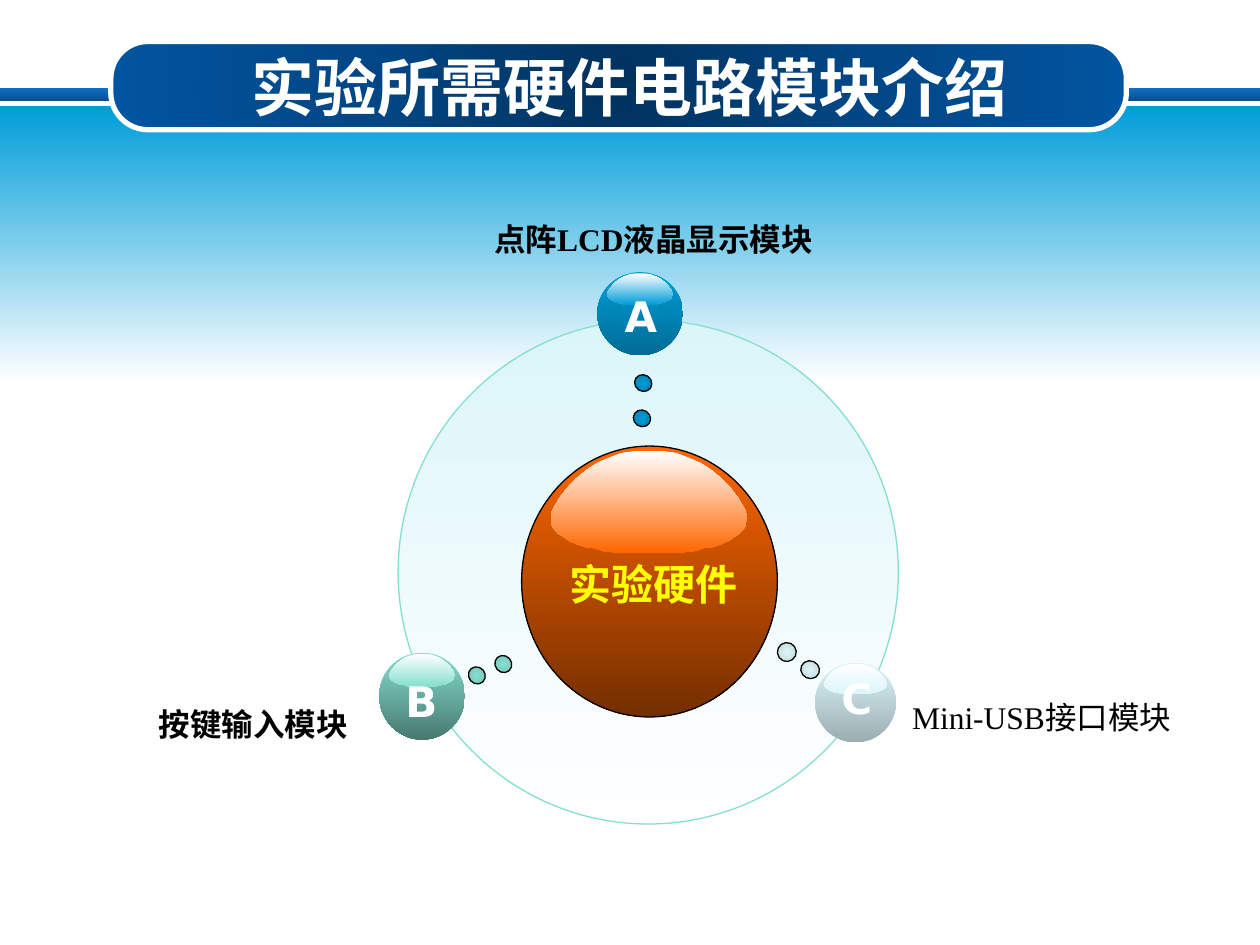
import pptx
import pptx.util
from lxml import etree
from pptx.dml.color import RGBColor
from pptx.enum.shapes import MSO_SHAPE
from pptx.enum.text import MSO_ANCHOR, MSO_AUTO_SIZE, PP_ALIGN
from pptx.oxml.ns import qn
from pptx.util import Inches

WHITE = RGBColor(0xFF, 0xFF, 0xFF)
BLACK = RGBColor(0x00, 0x00, 0x00)
YELLOW = RGBColor(0xFF, 0xFF, 0x00)
BAND_BLUE = RGBColor(0x0F, 0x6F, 0xC6)
BAND_NAVY = RGBColor(0x0B, 0x4F, 0x8E)
TITLE_DARK = RGBColor(0x01, 0x32, 0x5E)
TITLE_MID = RGBColor(0x01, 0x47, 0x86)
TITLE_LIGHT = RGBColor(0x01, 0x54, 0x9F)
ORANGE = RGBColor(0xFF, 0x66, 0x00)
BROWN = RGBColor(0x74, 0x2E, 0x00)
SKY = RGBColor(0x00, 0x9D, 0xD9)
SKY_DARK = RGBColor(0x00, 0x6C, 0x95)
SKY_DOT = RGBColor(0x00, 0x6F, 0x9A)
MINT = RGBColor(0x85, 0xDF, 0xD0)
MINT_DARK = RGBColor(0x48, 0x79, 0x70)
MINT_DOT = RGBColor(0x70, 0xBB, 0xAE)
ICE = RGBColor(0xDB, 0xF5, 0xF9)
ICE_DARK = RGBColor(0x9B, 0xAE, 0xB1)
ICE_DOT = RGBColor(0xB8, 0xCD, 0xD1)

# Right half of a highlight, top to bottom: share of half width, share of height
HIGHLIGHT_HALF = [
    (0.15, 0), (0.28, 0.02), (0.41, 0.07), (0.53, 0.12), (0.64, 0.19),
    (0.74, 0.27), (0.83, 0.36), (0.91, 0.46), (0.97, 0.56), (1, 0.62),
    (1, 0.67), (0.99, 0.72), (0.96, 0.77), (0.92, 0.81), (0.87, 0.84),
    (0.81, 0.88), (0.74, 0.91), (0.65, 0.94), (0.56, 0.95), (0.46, 0.98),
    (0.36, 0.99), (0.21, 1),
]


class SlideBuilder:
    heading_font = "Calibri"
    letter_font = "DejaVu Sans"
    label_font = "Times New Roman"

    def __init__(self, slide):
        self.slide = slide

    def paint(self, shape, colors, radial=None, line=None, line_width=0.75):
        """Fill downwards, or outwards from the centre when radial is given."""
        shape.shadow.inherit = False
        shape.fill.gradient()
        stops = shape.fill.gradient_stops
        stops[0].color.rgb, stops[1].color.rgb = colors[0], colors[-1]
        gradient = shape.fill._fill._gradFill
        if len(colors) == 3:
            middle = etree.Element(qn("a:gs"), pos="50000")
            etree.SubElement(middle, qn("a:srgbClr"), val=str(colors[1]))
            gradient.find(qn("a:gsLst")).insert(1, middle)
        if radial:
            center = etree.Element(qn("a:path"))
            center.set("path", radial)
            etree.SubElement(center, qn("a:fillToRect"),
                             dict.fromkeys("ltrb", "50000"))
            gradient.replace(gradient.find(qn("a:lin")), center)
        else:
            shape.fill.gradient_angle = 270
        if line is None:
            shape.line.fill.background()
        else:
            shape.line.color.rgb = line
            shape.line.width = pptx.util.Pt(line_width)

    def shape(self, kind, box, colors, **style):
        shape = self.slide.shapes.add_shape(kind, *map(Inches, box))
        self.paint(shape, colors, **style)
        return shape

    def highlight(self, box, color):
        left, top, width, height = box
        half, middle = width / 2, left + width / 2
        outline = HIGHLIGHT_HALF + [(-u, v) for u, v in reversed(HIGHLIGHT_HALF)]
        points = [(Inches(middle + u * half), Inches(top + v * height))
                  for u, v in outline]
        builder = self.slide.shapes.build_freeform(*points[0])
        builder.add_line_segments(points[1:], close=True)
        self.paint(builder.convert_to_shape(), [WHITE, color])

    def ball(self, box, colors, highlight_box, line=None):
        self.shape(MSO_SHAPE.OVAL, box, colors, line=line)
        self.highlight(highlight_box, colors[0])

    def dot(self, box, colors, rotation):
        dot = self.shape(MSO_SHAPE.OVAL, box, colors, radial="circle", line=BLACK)
        dot.rotation = rotation

    def text(self, box, words, size, font, color, bold=True,
             align=PP_ALIGN.LEFT, wrap=True, anchor=MSO_ANCHOR.TOP, grow=True):
        frame = self.slide.shapes.add_textbox(*map(Inches, box)).text_frame
        frame.word_wrap = wrap
        frame.vertical_anchor = anchor
        if grow:
            frame.auto_size = MSO_AUTO_SIZE.SHAPE_TO_FIT_TEXT
        paragraph = frame.paragraphs[0]
        paragraph.text = words
        paragraph.alignment = align
        paragraph.font.size = pptx.util.Pt(size)
        paragraph.font.name = font
        paragraph.font.bold = bold
        paragraph.font.color.rgb = color


def main():
    deck = pptx.Presentation()
    deck.slide_width, deck.slide_height = Inches(10), Inches(7.5)
    page = SlideBuilder(deck.slides.add_slide(deck.slide_layouts[6]))

    # Header bands and title
    page.shape(MSO_SHAPE.RECTANGLE, (0, 0.7, 10, 0.1), [BAND_BLUE, BAND_NAVY])
    page.shape(MSO_SHAPE.RECTANGLE, (0, 0.84, 10, 2.2), [SKY, WHITE])
    title_plate = page.shape(
        MSO_SHAPE.ROUNDED_RECTANGLE, (0.88, 0.33, 8.06, 0.7),
        [TITLE_DARK, TITLE_MID, TITLE_LIGHT],
        radial="circle", line=WHITE, line_width=3)
    title_plate.adjustments[0] = 0.42
    page.text((0.5, 0.3, 9, 0.77), "实验所需硬件电路模块介绍", 36,
              page.heading_font, WHITE, align=PP_ALIGN.CENTER,
              anchor=MSO_ANCHOR.MIDDLE, grow=False)

    # Orbit and central ball
    page.shape(MSO_SHAPE.OVAL, (3.16, 2.54, 3.97, 4), [ICE, WHITE], line=MINT)
    page.ball((4.14, 3.54, 2.03, 2.15), [ORANGE, BROWN],
              (4.37, 3.58, 1.56, 0.81), line=BLACK)
    page.text((4.42, 4.38, 1.56, 0.5), "实验硬件", 24, page.heading_font,
              YELLOW, wrap=False)

    # Module balls: letter, ball, highlight, letter box, colours, dots, rotation
    modules = [
        ("A", (4.74, 2.16, 0.68, 0.66), (4.82, 2.17, 0.52, 0.25),
         (4.86, 2.26, 0.46, 0.5), (SKY, SKY_DARK, SKY_DOT),
         [(5.04, 2.97, 0.13, 0.14), (5.03, 3.25, 0.13, 0.14)], 303.8),
        ("B", (3.01, 5.18, 0.68, 0.69), (3.09, 5.19, 0.52, 0.26),
         (3.12, 5.31, 0.46, 0.51), (MINT, MINT_DARK, MINT_DOT),
         [(3.72, 5.29, 0.13, 0.14), (3.93, 5.2, 0.13, 0.14)], 318.7),
        ("C", (6.47, 5.26, 0.64, 0.63), (6.54, 5.27, 0.5, 0.24),
         (6.58, 5.29, 0.45, 0.51), (ICE, ICE_DARK, ICE_DOT),
         [(6.36, 5.24, 0.14, 0.15), (6.17, 5.1, 0.15, 0.15)], 294.3),
    ]
    for letter, ball, shine, letter_box, colors, dots, rotation in modules:
        light, dark, dot_edge = colors
        page.ball(ball, [light, dark], shine)
        page.text(letter_box, letter, 24, page.letter_font, WHITE, wrap=False)
        for dot in dots:
            page.dot(dot, [light, dot_edge], rotation)

    # Module labels
    page.text((3.56, 1.7, 3.25, 0.4), "点阵LCD液晶显示模块", 18,
              page.label_font, BLACK, align=PP_ALIGN.CENTER)
    page.text((0.98, 5.55, 1.88, 0.4), "按键输入模块", 18,
              "Noto Sans CJK JP", BLACK, align=PP_ALIGN.RIGHT)
    page.text((7.14, 5.49, 2.58, 0.4), "Mini-USB接口模块", 18,
              page.label_font, BLACK, bold=False)

    deck.save("out.pptx")


if __name__ == "__main__":
    main()
